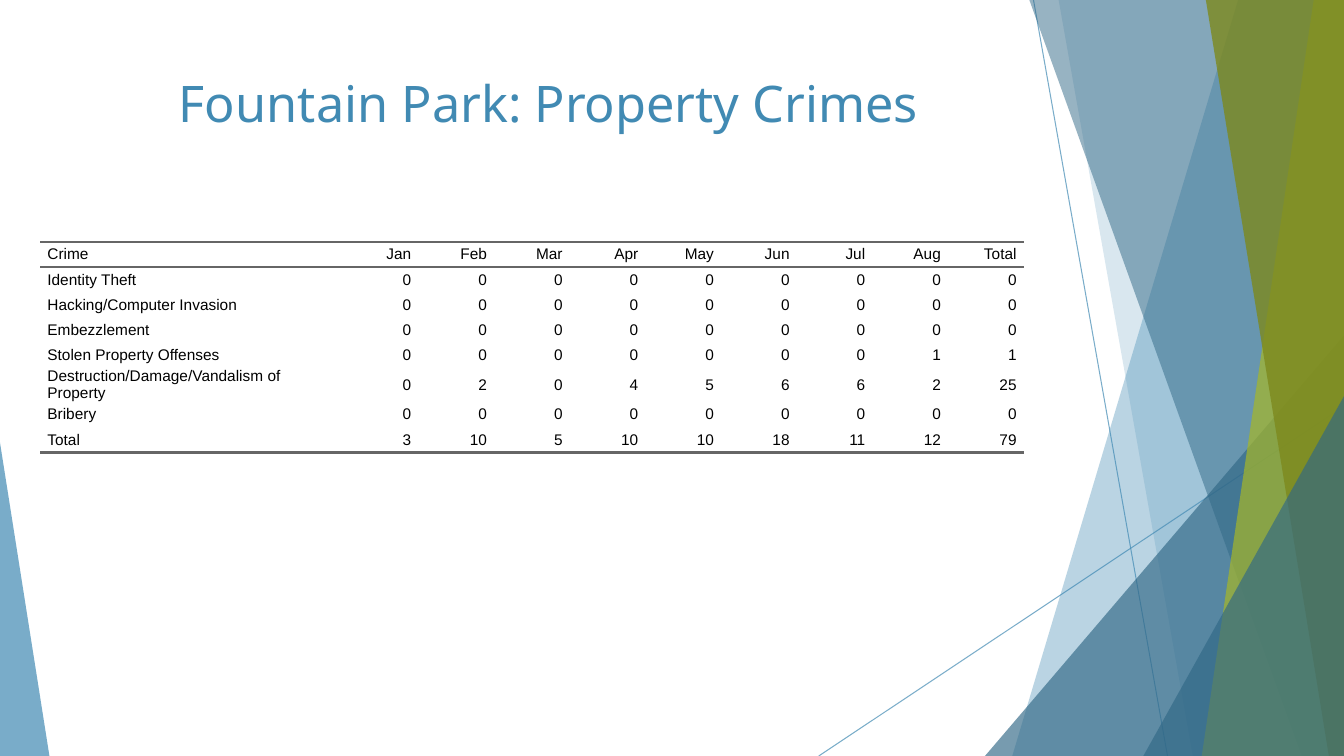
from lxml.etree import SubElement as Sub
from pptx import Presentation as Deck
from pptx.dml.color import RGBColor as Rgb
from pptx.enum.shapes import MSO_CONNECTOR as Link, MSO_SHAPE as Kind
from pptx.enum.text import MSO_ANCHOR as Anchor, PP_ALIGN as Align
from pptx.oxml.ns import qn
from pptx.util import Inches, Pt

BLUE, NAVY, LIME, OLIVE = "418AB3", "316886", "A6B727", "7D891D"
BLACK, GREY = "000000", "666666"
PLAIN = "{2D5ABB26-0587-4C30-8999-92F81FD0307C}"


def tint(code):
    return Rgb.from_string(code)


class Page:
    head, body = ("Noto Sans", 36, BLUE), ("Arial", 11, BLACK)
    rule, pad, gap = 2, Inches(0.07), Pt(5)

    def __init__(self, deck):
        self.wide, self.high = deck.slide_width, deck.slide_height
        self.slide = deck.slides.add_slide(deck.slide_layouts[6])
        self.items = self.slide.shapes

    def x(self, share):
        return round(self.wide * share / 100)

    def y(self, share):
        return round(self.high * share / 100)

    def box(self, left, top, width, height):
        return self.x(left), self.y(top), self.x(width), self.y(height)

    def fade(self, item, alpha):
        for color in item.element.spPr.iter(qn("a:srgbClr")):
            Sub(color, qn("a:alpha"), val=str(alpha * 1000))

    def paint(self, item, color, alpha):
        item.shadow.inherit = False
        item.fill.solid()
        item.fill.fore_color.rgb = tint(color)
        item.line.fill.background()
        self.fade(item, alpha)

    def line(self, start, end, color, alpha):
        item = self.items.add_connector(
            Link.STRAIGHT, self.x(start[0]), self.y(start[1]), self.x(end[0]), self.y(end[1]))
        item.line.color.rgb = tint(color)
        item.line.width = Pt(0.75)
        self.fade(item, alpha)
        Sub(item.element.spPr, qn("a:effectLst"))

    def band(self, top, foot, color, alpha):
        pen = self.items.build_freeform(self.x(top), 0)
        pen.add_line_segments(
            [(self.wide, 0), (self.wide, self.high), (self.x(foot), self.high)], close=True)
        self.paint(pen.convert_to_shape(), color, alpha)

    def wedge(self, left, top, width, tip, color, alpha):
        item = self.items.add_shape(
            Kind.ISOSCELES_TRIANGLE, *self.box(left, top, width, 100 - top))
        item.adjustments[0] = tip
        self.paint(item, color, alpha)

    def label(self, para, text, style, align):
        para.alignment = align
        run = para.add_run()
        run.text = text
        run.font.name, size, color = style
        run.font.size = Pt(size)
        run.font.color.rgb = tint(color)

    def title(self, text, *place):
        frame = self.items.add_textbox(*self.box(*place)).text_frame
        frame.word_wrap = True
        frame.vertical_anchor = Anchor.TOP
        self.label(frame.paragraphs[0], text, self.head, Align.CENTER)

    def edge(self, cell, side):
        line = Sub(cell._tc.get_or_add_tcPr(), qn("a:ln" + side), w=str(Pt(self.rule)))
        Sub(Sub(line, qn("a:solidFill")), qn("a:srgbClr"), val=GREY)

    def cell(self, cell, text, align, sides):
        cell.margin_left = cell.margin_right = cell.margin_top = cell.margin_bottom = 0
        cell.vertical_anchor = Anchor.MIDDLE
        for side in sides:
            self.edge(cell, side)
        cell.fill.background()
        para = cell.text_frame.paragraphs[0]
        para.space_before = para.space_after = self.gap
        self.label(para, text, self.body, align)
        props = para._p.get_or_add_pPr()
        for name in ("marL", "marR"):
            props.set(name, str(self.pad))
        props.set("indent", "0")

    def table(self, rows, left, top, first, rest, step):
        count, last = len(rows[0]), len(rows) - 1
        place = self.box(left, top, first + rest * (count - 1), step * len(rows))
        table = self.items.add_table(len(rows), count, *place).table
        table.first_row = table.horz_banding = False
        table._tbl.tblPr.find(qn("a:tableStyleId")).text = PLAIN
        for c, col in enumerate(table.columns):
            col.width = self.x(rest if c else first)
        for r, row in enumerate(rows):
            table.rows[r].height = self.y(step)
            sides = "TB" if r == 0 else "B" if r == last else ""
            for c, text in enumerate(row):
                align = Align.RIGHT if c else Align.LEFT
                self.cell(table.cell(r, c), str(text), align, sides)


def main():
    deck = Deck()
    deck.slide_width, deck.slide_height = Inches(13.33), Inches(7.5)
    page = Page(deck)
    page.line((76.9, 0), (86.87, 100), BLUE, 70)
    page.line((100, 53.73), (60.92, 100), BLUE, 70)
    page.band(92.12, 75.32, BLUE, 36)
    page.band(78.77, 88.75, BLUE, 20)
    page.wedge(73.29, 44.4, 26.71, 1, NAVY, 66)
    page.band(76.59, 96.85, NAVY, 50)
    page.band(97.75, 89.42, LIME, 70)
    page.band(89.72, 98.87, OLIVE, 80)
    page.wedge(85.07, 52.4, 14.93, 1, NAVY, 66)
    page.wedge(0, 58.53, 3.68, 0, BLUE, 70)
    none = [0] * 9
    rows = [
        ["Crime", "Jan", "Feb", "Mar", "Apr", "May", "Jun", "Jul", "Aug", "Total"],
        ["Identity Theft", *none],
        ["Hacking/Computer Invasion", *none],
        ["Embezzlement", *none],
        ["Stolen Property Offenses", 0, 0, 0, 0, 0, 0, 0, 1, 1],
        ["Destruction/Damage/Vandalism of Property", 0, 2, 0, 4, 5, 6, 6, 2, 25],
        ["Bribery", *none],
        ["Total", 3, 10, 5, 10, 10, 18, 11, 12, 79],
    ]
    page.table(rows, left=3, top=32, first=22.5, rest=5.63, step=3.33)
    page.title("Fountain Park: Property Crimes", 5.55, 8.93, 70.52, 19.2)
    deck.save("out.pptx")


if __name__ == "__main__":
    main()
